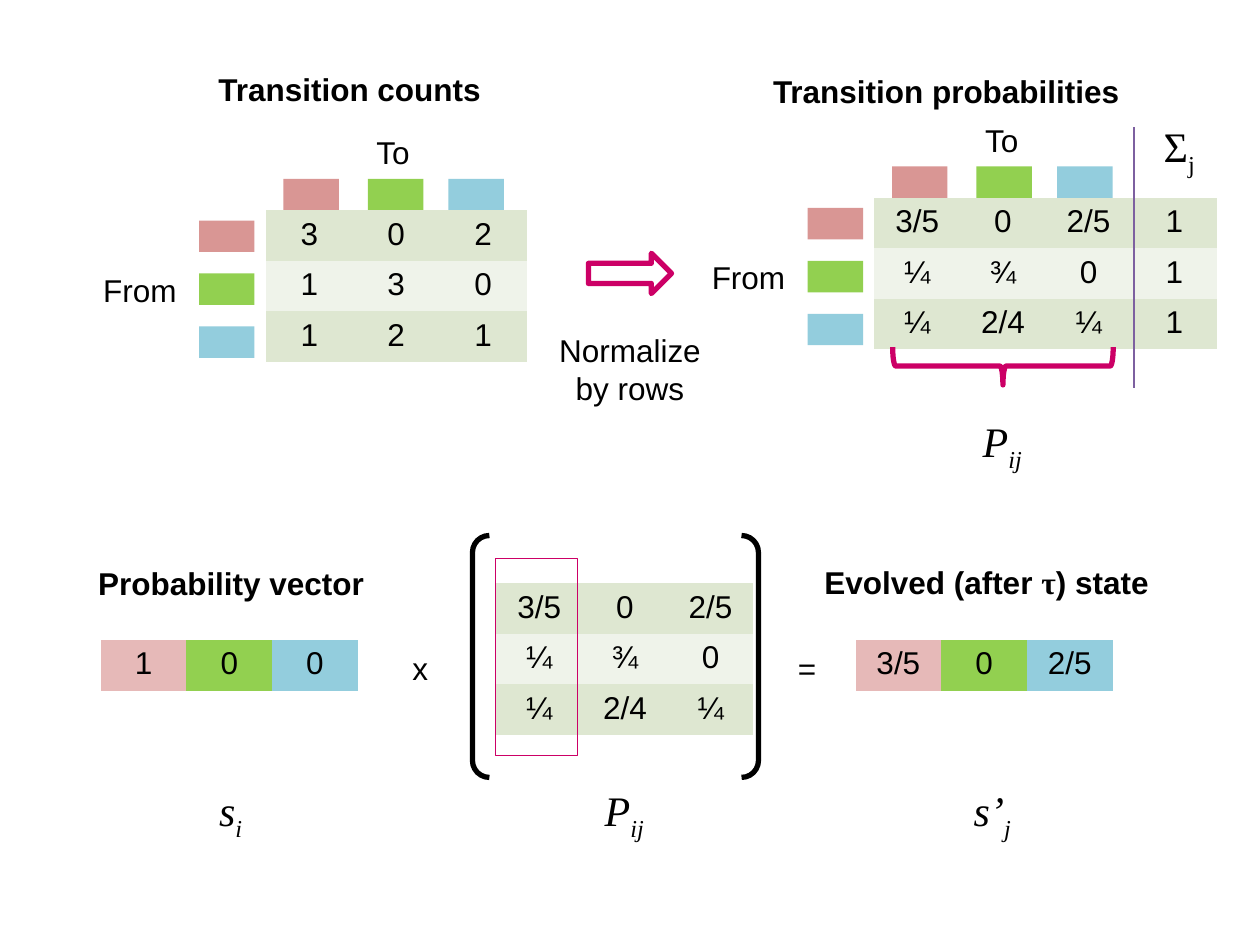
from lxml.etree import SubElement
from pptx import Presentation
from pptx.dml.color import RGBColor
from pptx.enum.shapes import MSO_CONNECTOR, MSO_SHAPE
from pptx.enum.text import MSO_AUTO_SIZE, PP_ALIGN
from pptx.oxml.ns import qn
from pptx.util import Inches, Pt

HEX = {
    "red": "D99694", "pink": "E6B9B8", "green": "92D050", "blue": "93CDDD",
    "band": "DEE7D1", "pale": "EFF3EA", "rose": "CC0066", "plum": "7D60A0",
    "black": "000000",
}
NO_GRID = "{2D5ABB26-0587-4C30-8999-92F81FD0307C}"
ROW_H = 0.4
BANDS = ["band", "pale", "band"]
STATES = ["red", "green", "blue"]
VECTOR = ["pink", "green", "blue"]

# Run formats
PLAIN = {"name": "Arial", "size": Pt(18)}
BOLD = {**PLAIN, "bold": True}
GREEK = {**BOLD, "name": "Times New Roman"}
SIGN = {"name": "Times New Roman", "size": Pt(24)}
MATH = {**SIGN, "italic": True}

COUNTS = [["3", "0", "2"], ["1", "3", "0"], ["1", "2", "1"]]
PROBS = [["3/5", "0", "2/5"], ["¼", "¾", "0"], ["¼", "2/4", "¼"]]
SUMMED = [row + ["1"] for row in PROBS]

# Left, top, column width, rows, has state keys
GRIDS = [
    (2.11, 1.67, 0.69, COUNTS, True),
    (6.94, 1.57, 0.68, SUMMED, True),
    (0.8, 5.08, 0.68, [["1", "0", "0"]], False),
    (3.94, 4.63, 0.68, PROBS, False),
    (6.79, 5.08, 0.68, [["3/5", "0", "2/5"]], False),
]

# Box, then runs of text, format and whether it is a subscript
LABELS = [
    ((1.62, 0.51, 2.31, 0.4), [("Transition counts", BOLD, False)]),
    ((6.02, 0.52, 2.98, 0.4), [("Transition probabilities", BOLD, False)]),
    ((9.13, 0.91, 0.46, 0.5), [("Σ", SIGN, False), ("j", SIGN, True)]),
    ((7.69, 3.25, 0.53, 0.5), [("P", MATH, False), ("ij", MATH, True)]),
    ((4.33, 2.58, 1.34, 0.71), [("Normalize\nby rows", PLAIN, False)]),
    ((0.67, 4.43, 2.33, 0.4), [("Probability vector", BOLD, False)]),
    ((6.43, 4.42, 2.8, 0.4), [("Evolved (after ", BOLD, False),
                              ("τ", GREEK, False), (") state", BOLD, False)]),
    ((3.17, 5.1, 0.33, 0.4), [("x", PLAIN, False)]),
    ((6.23, 5.1, 0.35, 0.4), [("=", PLAIN, False)]),
    ((1.63, 6.18, 0.4, 0.5), [("s", MATH, False), ("i", MATH, True)]),
    ((4.69, 6.18, 0.53, 0.5), [("P", MATH, False), ("ij", MATH, True)]),
    ((7.62, 6.18, 0.51, 0.5), [("s’", MATH, False), ("j", MATH, True)]),
]

# Preset, box, adjustments, line colour, line width, rotation
MARKS = [
    (MSO_SHAPE.RIGHT_ARROW, (4.67, 2.01, 0.66, 0.32), [0.5, 0.5], "rose", 3, 0),
    (MSO_SHAPE.LEFT_BRACE, (7.81, 2.03, 0.3, 1.75), [0.08, 0.5], "rose", 3, 270),
    (MSO_SHAPE.RECTANGLE, (3.93, 4.43, 0.65, 1.57), [], "rose", 0.5, 0),
    (MSO_SHAPE.DOUBLE_BRACKET, (3.75, 4.25, 2.27, 1.92), [0.07], "black", 3, 0),
]


def rgb(name):
    return RGBColor.from_string(HEX[name])


def inches(box):
    return [Inches(v) for v in box]


def paint(target, name):
    target.fill.solid()
    target.fill.fore_color.rgb = rgb(name)


def write(para, runs, align=PP_ALIGN.CENTER):
    para.alignment = align
    for text, form, sub in runs:
        for i, line in enumerate(text.split("\n")):
            if i:
                para.add_line_break()
            run = para.add_run()
            run.text = line
            for key, value in form.items():
                setattr(run.font, key, value)
            run.font.color.rgb = rgb("black")
            if sub:
                run._r.get_or_add_rPr().set("baseline", "-25000")


def label(shapes, box, runs, align=PP_ALIGN.CENTER, wrap=False):
    frame = shapes.add_textbox(*inches(box)).text_frame
    frame.word_wrap = wrap
    frame.auto_size = MSO_AUTO_SIZE.SHAPE_TO_FIT_TEXT
    write(frame.paragraphs[0], runs, align)


def add_keys(shapes, x, y):
    """Colour keys and axis names around the table whose corner is x, y."""
    group = shapes.add_group_shape().shapes
    side = [(x - 0.53, y + 0.08 + 0.42 * i) for i in range(3)]
    top = [(x + dx, y - 0.25) for dx in (0.14, 0.81, 1.45)]
    for spots in (side, top):
        for spot, name in zip(spots, STATES):
            key = group.add_shape(MSO_SHAPE.RECTANGLE, *inches((*spot, 0.44, 0.25)))
            key.shadow.inherit = False
            paint(key, name)
            key.line.fill.background()
    label(group, (x - 1.69, y + 0.43, 1.08, 0.4), [("From", PLAIN, False)],
          PP_ALIGN.RIGHT, True)
    label(group, (x + 0.47, y - 0.66, 1.08, 0.4), [("To", PLAIN, False)], wrap=True)


def add_grid(shapes, x, y, col_w, rows):
    size = len(rows), len(rows[0])
    box = x, y, col_w * size[1], ROW_H * size[0]
    table = shapes.add_table(*size, *inches(box)).table
    table.first_row = table.horz_banding = False
    table._tbl.tblPr.find(qn("a:tableStyleId")).text = NO_GRID
    for r, row in enumerate(rows):
        for c, text in enumerate(row):
            cell = table.cell(r, c)
            paint(cell, BANDS[r] if len(rows) > 1 else VECTOR[c])
            write(cell.text_frame.paragraphs[0], [(text, PLAIN, False)])


def add_mark(shapes, kind, box, adjust, color, width, turn):
    mark = shapes.add_shape(kind, *inches(box))
    mark.shadow.inherit = False
    mark.fill.background()
    mark.line.color.rgb = rgb(color)
    mark.line.width = Pt(width)
    mark.rotation = turn
    for i, value in enumerate(adjust):
        mark.adjustments[i] = value


def add_rule(shapes, x, top, end):
    rule = shapes.add_connector(MSO_CONNECTOR.STRAIGHT, *inches((x, top, x, end)))
    rule.line.color.rgb = rgb("plum")
    rule.line.width = Pt(0.75)
    SubElement(rule._element.spPr, qn("a:effectLst"))


def main():
    deck = Presentation()
    deck.slide_width, deck.slide_height = Inches(10), Inches(7.5)
    shapes = deck.slides.add_slide(deck.slide_layouts[6]).shapes
    for x, y, col_w, rows, keyed in GRIDS:
        if keyed:
            add_keys(shapes, x, y)
        add_grid(shapes, x, y, col_w, rows)
    add_rule(shapes, 9, 1.01, 3.08)
    for box, runs in LABELS:
        label(shapes, box, runs)
    for mark in MARKS:
        add_mark(shapes, *mark)
    deck.save("out.pptx")


if __name__ == "__main__":
    main()
